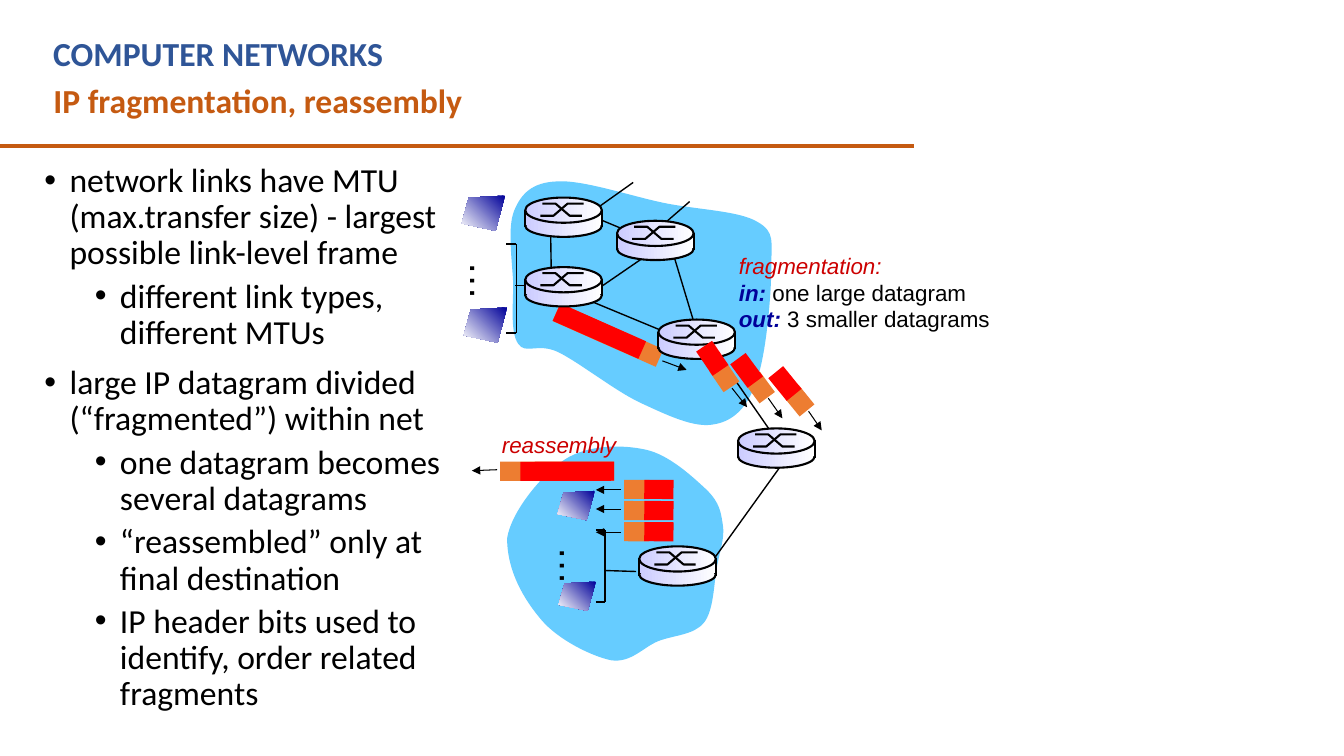
from dataclasses import dataclass

from lxml import etree
from pptx import Presentation
from pptx import util as u
from pptx.dml.color import RGBColor
from pptx.enum import shapes, text
from pptx.oxml.ns import qn

COLOURS = {
    "black": "000000", "course": "2F5597", "topic": "C55A11", "cloud": "66CCFF",
    "header": "ED7D31", "payload": "FF0000", "note": "CC0000", "keyword": "000099",
    "router": "CCCCFF", "white": "FFFFFF",
}
BLOCK_HEIGHT = 0.19
Point = tuple[float, float]


@dataclass
class Span:
    words: str
    size: float
    colour: str = "black"
    face: str = "Arial"
    bold: bool = False
    italic: bool = False


@dataclass
class Datagram:
    header: tuple[float, float, float]
    payload: tuple[float, float, float]
    angle: float
    arrow: tuple[float, float, float, float]


@dataclass
class HostPair:
    hosts: list[Point]
    width: float
    height: float
    dots: Point
    bracket: tuple[float, float, float, float]


@dataclass
class Cloud:
    start: Point
    curves: list[tuple[float, float, float, float, float, float]]


def rgb(name: str) -> RGBColor:
    return RGBColor.from_string(COLOURS[name])


def add_span(paragraph, span: Span) -> None:
    run = paragraph.add_run()
    run.text = span.words
    run.font.name, run.font.size = span.face, u.Pt(span.size)
    run.font.bold, run.font.italic = span.bold, span.italic
    run.font.color.rgb = rgb(span.colour)


def place(item, left: float, top: float, width: float, height: float) -> None:
    item.left, item.top = u.Inches(left), u.Inches(top)
    item.width, item.height = u.Inches(width), u.Inches(height)


def add_label(parent, box: tuple, lines: list[list[Span]], angle: float = 0, wrap: bool = False) -> None:
    label = parent.add_textbox(*map(u.Inches, box))
    label.rotation = angle
    frame = label.text_frame
    frame.word_wrap = wrap
    frame.auto_size = text.MSO_AUTO_SIZE.SHAPE_TO_FIT_TEXT
    for index, line in enumerate(lines):
        paragraph = frame.add_paragraph() if index else frame.paragraphs[0]
        for span in line:
            add_span(paragraph, span)


def add_link(parent, ends: tuple, weight: float = 1, colour: str = "black", arrow: bool = False) -> None:
    link = parent.add_connector(shapes.MSO_CONNECTOR.STRAIGHT, *map(u.Inches, ends))
    link.line.color.rgb = rgb(colour)
    link.line.width = u.Pt(weight)
    properties = link._element.spPr
    if arrow:
        etree.SubElement(properties.find(qn("a:ln")), qn("a:tailEnd"), type="triangle")
    etree.SubElement(properties, qn("a:effectLst"))


def paint(item, colours: list[str], angle: float = 0, weight: float = 0) -> None:
    item.shadow.inherit = False
    if len(colours) == 2:
        item.fill.gradient()
        item.fill.gradient_angle = angle
        for stop, colour, position in zip(item.fill.gradient_stops, colours, (0, 1)):
            stop.color.rgb, stop.position = rgb(colour), position
    elif colours:
        item.fill.solid()
        item.fill.fore_color.rgb = rgb(colours[0])
    else:
        item.fill.background()
    if weight:
        item.line.color.rgb = rgb("black")
        item.line.width = u.Pt(weight)
    else:
        item.line.fill.background()


def add_outline(parent, points: list[Point], closed: bool):
    corners = [(u.Inches(x), u.Inches(y)) for x, y in points]
    builder = parent.build_freeform(*corners[0], scale=1.0)
    builder.add_line_segments(corners[1:], close=closed)
    return builder.convert_to_shape()


def add_cloud(parent, cloud: Cloud) -> None:
    outline = add_outline(parent, [cloud.start] + [curve[4:] for curve in cloud.curves], True)
    for segment, curve in zip(list(outline._element.iter(qn("a:lnTo"))), cloud.curves):
        bend = etree.Element(qn("a:cubicBezTo"))
        for x, y in zip(curve[::2], curve[1::2]):
            etree.SubElement(bend, qn("a:pt"), x=str(u.Inches(x) - outline.left), y=str(u.Inches(y) - outline.top))
        segment.getparent().replace(segment, bend)
    paint(outline, ["cloud"])


def add_datagram(parent, datagram: Datagram) -> None:
    for name, (left, top, width) in (("header", datagram.header), ("payload", datagram.payload)):
        block = parent.add_shape(shapes.MSO_SHAPE.RECTANGLE, *map(u.Inches, (left, top, width, BLOCK_HEIGHT)))
        block.rotation = datagram.angle
        paint(block, [name])
    add_link(parent, datagram.arrow, 0.75, arrow=True)


def add_router(parent, left: float, top: float) -> None:
    router = parent.add_group_shape().shapes
    for kind, drop, height, weight in (
        (shapes.MSO_SHAPE.OVAL, 0.17, 0.22, 1.5),
        (shapes.MSO_SHAPE.RECTANGLE, 0.14, 0.13, 0),
        (shapes.MSO_SHAPE.OVAL, 0, 0.25, 1.5),
    ):
        part = router.add_shape(kind, *map(u.Inches, (left, top + drop, 0.76, height)))
        paint(part, ["router", "white"], weight=weight)
    for steps, before, after in (((0.15, 0.28, 0.42, 0.58), 0.18, 0.06), ((0.17, 0.3, 0.44, 0.56), 0.06, 0.18)):
        drops = (before, before, after, after)
        crossing = add_outline(router, [(left + x, top + y) for x, y in zip(steps, drops)], False)
        paint(crossing, [], weight=1.5)
    for side in (left, left + 0.76):
        add_link(router, (side, top + 0.12, side, top + 0.29), 1.5)


def add_hosts(parent, pair: HostPair) -> None:
    group = parent.add_group_shape().shapes
    for left, top in pair.hosts:
        corners = [(1, 0), (0.16, 0.06), (0, 0.79), (0.78, 1)]
        host = add_outline(group, [(left + x * pair.width, top + y * pair.height) for x, y in corners], True)
        paint(host, ["keyword", "white"], angle=225)
    add_label(group, (*pair.dots, 0.59, 0.57), [[Span("…", 28)]], angle=90)
    left, top, right, bottom = pair.bracket
    for y in (top, bottom):
        add_link(group, (left, y, right, y), 1.5)
    add_link(group, (right, top, right, bottom))


CLOUDS = [
    Cloud((5.52, 1.8), [
        (5.28, 1.81, 5.17, 1.92, 5.1, 2.09), (5.03, 2.26, 5.08, 2.59, 5.09, 2.81),
        (5.09, 3.03, 5.06, 3.3, 5.14, 3.41), (5.21, 3.52, 5.33, 3.4, 5.53, 3.49),
        (5.74, 3.59, 6.1, 3.88, 6.36, 4), (6.62, 4.12, 6.89, 4.25, 7.08, 4.21),
        (7.27, 4.18, 7.41, 4.05, 7.5, 3.79), (7.6, 3.53, 7.65, 2.92, 7.65, 2.66),
        (7.65, 2.39, 7.69, 2.3, 7.51, 2.2), (7.33, 2.09, 6.9, 2.08, 6.57, 2.01),
        (6.24, 1.94, 5.77, 1.78, 5.52, 1.8)]),
    Cloud((5.03, 5.34), [
        (5.07, 5.08, 5.37, 4.71, 5.6, 4.56), (5.83, 4.41, 6.17, 4.41, 6.4, 4.46),
        (6.64, 4.51, 6.88, 4.74, 7.01, 4.86), (7.14, 4.99, 7.15, 5.08, 7.17, 5.21),
        (7.19, 5.34, 7.14, 5.46, 7.11, 5.63), (7.08, 5.79, 7.08, 6.06, 6.98, 6.18),
        (6.88, 6.3, 6.69, 6.3, 6.53, 6.36), (6.38, 6.42, 6.26, 6.58, 6.06, 6.55),
        (5.87, 6.51, 5.54, 6.35, 5.37, 6.15), (5.2, 5.95, 5.03, 5.67, 5.03, 5.34)]),
]
LINKS = [
    (5.11, 2.83, 5.25, 2.83), (5.74, 2.09, 6.46, 2.39), (6.66, 2.46, 6.88, 3.19), (5.46, 2.21, 5.47, 2.85),
    (5.72, 2.93, 6.78, 3.37), (7.63, 4.26, 7.11, 3.51), (6.58, 2.42, 5.75, 2.99), (6.28, 1.81, 5.76, 2.18),
    (6.84, 2, 6.54, 2.26), (7.76, 4.6, 7.07, 5.56), (6, 5.66, 6.31, 5.67),
]
ROUTERS = [(6.53, 3.17), (5.21, 1.96), (5.21, 2.65), (6.12, 2.19), (7.32, 4.25), (6.34, 5.42)]
LARGE = Datagram((5.47, 3.23, 1.12), (5.48, 3.19, 0.93), 23.9, (6.57, 3.58, 6.81, 3.67))
REASSEMBLED = Datagram((4.96, 4.58, 1.13), (5.16, 4.58, 0.93), 179.9, (4.93, 4.66, 4.68, 4.67))
LEAVING = [
    Datagram((7.06, 3.64, 0.25), (6.92, 3.46, 0.29), 55.8, (7.26, 3.85, 7.41, 4.04)),
    Datagram((7.41, 3.75, 0.25), (7.26, 3.58, 0.29), 53.6, (7.62, 3.95, 7.76, 4.15)),
    Datagram((7.8, 3.88, 0.25), (7.64, 3.71, 0.29), 50.9, (8.02, 4.08, 8.15, 4.27)),
]
ARRIVING = [
    Datagram((6.19, 4.76 + 0.21 * row, 0.25), (6.39, 4.76 + 0.21 * row, 0.29), 180.4, (6.16, y, 5.91, y))
    for row, y in enumerate((4.86, 5.05, 5.28))
]
HOSTS = [
    HostPair([(4.58, 1.94), (4.6, 3.05)], 0.43, 0.35, (4.52, 2.51), (5.02, 2.42, 5.12, 3.3)),
    HostPair([(5.53, 4.87), (5.54, 5.77)], 0.37, 0.29, (5.41, 5.33), (5.91, 5.26, 6, 5.97)),
]
POINTS = [
    (0, "network links have MTU (max.transfer size) - largest possible link-level frame"),
    (1, "different link types, different MTUs"),
    (0, "large IP datagram divided (“fragmented”) within net"),
    (1, "one datagram becomes several datagrams"),
    (1, "“reassembled” only at final destination"),
    (1, "IP header bits used to identify, order related fragments"),
]
FRAGMENTATION = [
    [Span("fragmentation:", 16, "note", italic=True)],
    [Span("in:", 16, "keyword", bold=True, italic=True), Span(" one large datagram", 16)],
    [Span("out:", 16, "keyword", bold=True, italic=True), Span(" 3 smaller datagrams", 16)],
]


def fill_topic(topic) -> None:
    place(topic, 0.43, 0.74, 4.3, 0.5)
    frame = topic.text_frame
    frame.word_wrap, frame.auto_size = False, text.MSO_AUTO_SIZE.NONE
    frame.vertical_anchor = text.MSO_ANCHOR.TOP
    frame.paragraphs[0].alignment = text.PP_ALIGN.LEFT
    add_span(frame.paragraphs[0], Span("IP fragmentation, reassembly", 24, "topic", "Calibri", True))


def fill_points(points) -> None:
    place(points, 0.34, 1.57, 4.17, 5.57)
    frame = points.text_frame
    frame.word_wrap, frame.auto_size = True, text.MSO_AUTO_SIZE.NONE
    for index, (level, words) in enumerate(POINTS):
        paragraph = frame.add_paragraph() if index else frame.paragraphs[0]
        properties = paragraph._p.get_or_add_pPr()
        properties.set("marL", str(u.Inches(0.25 + 0.5 * level)))
        properties.set("indent", str(u.Inches(-0.25)))
        etree.SubElement(properties, qn("a:buFont"), typeface="Arial")
        etree.SubElement(properties, qn("a:buChar"), char="•")
        paragraph.level, paragraph.line_spacing = level, 0.9
        paragraph.space_before = u.Pt((5 if level else 10) if index else 0)
        add_span(paragraph, Span(words, 24, face="Calibri"))


def main() -> None:
    deck = Presentation()
    deck.slide_width, deck.slide_height = u.Inches(13.33), u.Inches(7.5)
    slide = deck.slides.add_slide(deck.slide_layouts[1])
    canvas = slide.shapes
    fill_topic(canvas.title)
    fill_points(slide.placeholders[1])
    add_link(canvas, (-0.01, 1.45, 9.07, 1.45), 3, "topic")
    add_label(canvas, (0.43, 0.28, 8.2, 0.5), [[Span("COMPUTER NETWORKS", 24, "course", "Calibri", True)]], wrap=True)
    for cloud in CLOUDS:
        add_cloud(canvas, cloud)
    for ends in LINKS:
        add_link(canvas, ends)
    add_datagram(canvas, LARGE)
    for left, top in ROUTERS:
        add_router(canvas, left, top)
    for datagram in [*ARRIVING, REASSEMBLED, *LEAVING]:
        add_datagram(canvas, datagram)
    for pair in HOSTS:
        add_hosts(canvas, pair)
    add_label(canvas, (7.23, 2.45, 2.7, 0.9), FRAGMENTATION)
    add_label(canvas, (4.88, 4.23, 1.34, 0.37), [[Span("reassembly", 16, "note", italic=True)]])
    deck.save("out.pptx")


if __name__ == "__main__":
    main()
